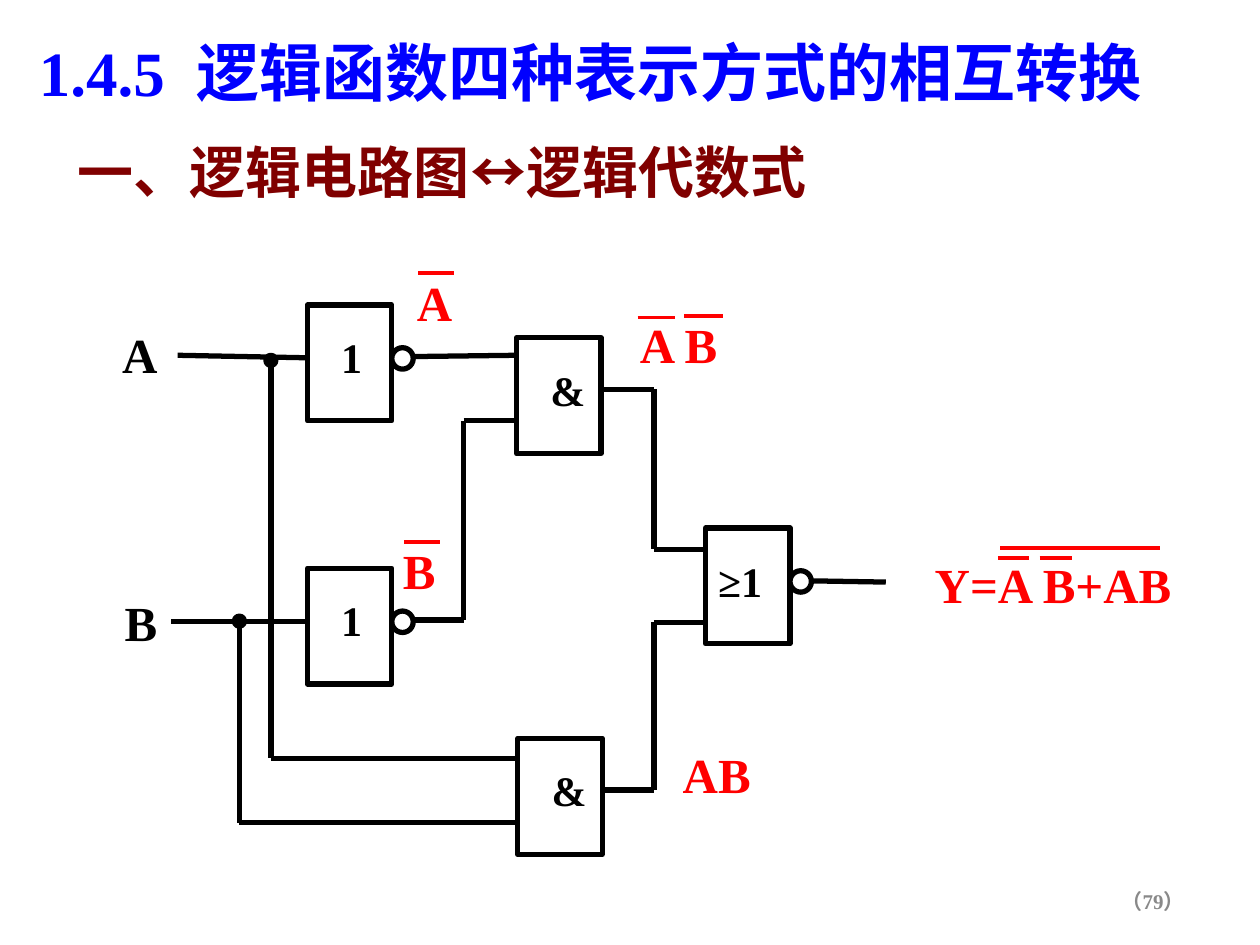
from itertools import pairwise

from lxml import etree
from pptx import Presentation
from pptx import util as u
from pptx.dml.color import RGBColor
from pptx.enum import shapes, text
from pptx.oxml.ns import qn

COLORS = {"title": "0000FF", "heading": "800000", "result": "FF0000",
          "ink": "000000", "paper": "FFFFFF", "page": "898989"}
FONT = "Times New Roman"
GATE_W, GATE_H, BUBBLE, DOT = 0.67, 0.92, 0.17, 0.08
BUBBLE_DY = 0.34
WIRE_PT, BAR_PT = 3, 2.25

HEADINGS = [
    ((0.21, 0.22, 9.48, 0.7), [("1.4.5  逻辑函数四种表示方式的相互转换", FONT)], 36, "title"),
    ((0.52, 1.04, 7.07, 0.64),
     [("一、逻辑电路图", FONT), ("↔", "Arial"), ("逻辑代数式", FONT)], 32, "heading"),
]
PAGE = ((7.17, 6.95, 2.33, 0.4), [("（79）", FONT)], 12, "page")

SIGNALS = [
    ("A", 0.87, 2.53, 0.59, "ink"),
    ("B", 0.89, 4.65, 0.62, "ink"),
    ("A", 3.21, 2.11, 0.7, "result"),
    ("B", 3.1, 4.24, 0.7, "result"),
    ("A B", 4.98, 2.45, 0.9, "result"),
    ("AB", 5.32, 5.86, 0.82, "result"),
    ("Y=A B+AB", 7.32, 4.35, 2.37, "result"),
]
NEGATION_BARS = [
    (3.32, 3.6, 2.17), (3.21, 3.49, 4.3),
    (5.06, 5.36, 2.52), (5.43, 5.74, 2.51),
    (7.92, 8.17, 4.43), (8.25, 8.51, 4.43), (7.94, 9.21, 4.35),
]

LABELS = {"1": (0.17, 0.16, 0.33), "&": (0.17, 0.16, 0.67), "≥1": (0, 0.17, 0.92)}
GATES = [
    ("1", 2.44, 2.42, True),
    ("1", 2.44, 4.51, True),
    ("&", 4.1, 2.68, False),
    ("&", 4.11, 5.86, False),
    ("≥1", 5.6, 4.19, True),
]
WIRES = [
    [(1.41, 2.82), (2.45, 2.84)],
    [(1.36, 4.93), (2.44, 4.93)],
    [(2.15, 2.84), (2.15, 6.02), (4.11, 6.02)],
    [(1.9, 4.93), (1.9, 6.53), (4.11, 6.53)],
    [(3.27, 2.83), (4.1, 2.82)],
    [(3.27, 4.92), (3.68, 4.92), (3.68, 3.34), (4.1, 3.34)],
    [(4.77, 3.09), (5.19, 3.09), (5.19, 4.36), (5.6, 4.36)],
    [(4.78, 6.27), (5.19, 6.27), (5.19, 4.94), (5.6, 4.94)],
    [(6.43, 4.61), (7.03, 4.62)],
]
JUNCTIONS = [(2.15, 2.86), (1.9, 4.93)]


def rgb(name):
    return RGBColor.from_string(COLORS[name])


def add_text(s, box, runs, size, color, align=text.PP_ALIGN.LEFT,
             anchor=text.MSO_ANCHOR.TOP):
    tf = s.shapes.add_textbox(*map(u.Inches, box)).text_frame
    tf.word_wrap = True
    tf.vertical_anchor = anchor
    p = tf.paragraphs[0]
    p.alignment = align
    for words, font in runs:
        r = p.add_run()
        r.text = words
        for key, value in {"name": font, "size": u.Pt(size), "bold": True}.items():
            setattr(r.font, key, value)
        r.font.color.rgb = rgb(color)


def add_line(s, start, end, color, width):
    c = s.shapes.add_connector(shapes.MSO_CONNECTOR.STRAIGHT,
                               *map(u.Inches, (*start, *end)))
    c.line.color.rgb = rgb(color)
    c.line.width = u.Pt(width)
    etree.SubElement(c._element.spPr, qn("a:effectLst"))


def add_outline(s, kind, box, fill):
    sp = s.shapes.add_shape(kind, *map(u.Inches, box))
    sp.shadow.inherit = False
    sp.fill.solid()
    sp.fill.fore_color.rgb = rgb(fill)
    sp.line.color.rgb = rgb("ink")
    sp.line.width = u.Pt(WIRE_PT)


def add_gate(s, label, x, y, inverted):
    add_outline(s, shapes.MSO_SHAPE.RECTANGLE, (x, y, GATE_W, GATE_H), "paper")
    if inverted:
        add_outline(s, shapes.MSO_SHAPE.OVAL,
                    (x + GATE_W, y + BUBBLE_DY, BUBBLE, BUBBLE), "paper")
    dx, dy, w = LABELS[label]
    add_text(s, (x + dx, y + dy, w, 0.5), [(label, FONT)], 24, "ink")


def main():
    prs = Presentation()
    prs.slide_width, prs.slide_height = u.Inches(10), u.Inches(7.5)
    s = prs.slides.add_slide(prs.slide_layouts[6])

    add_text(s, *PAGE, align=text.PP_ALIGN.RIGHT, anchor=text.MSO_ANCHOR.MIDDLE)
    for heading in HEADINGS:
        add_text(s, *heading)
    for wire in WIRES:
        for start, end in pairwise(wire):
            add_line(s, start, end, "ink", WIRE_PT)
    for x, y in JUNCTIONS:
        add_outline(s, shapes.MSO_SHAPE.OVAL,
                    (x - DOT / 2, y - DOT / 2, DOT, DOT), "ink")
    for gate in GATES:
        add_gate(s, *gate)
    for words, x, y, w, color in SIGNALS:
        add_text(s, (x, y, w, 0.57), [(words, FONT)], 28, color)
    for left, right, y in NEGATION_BARS:
        add_line(s, (left, y), (right, y), "result", BAR_PT)

    prs.save("out.pptx")


if __name__ == "__main__":
    main()
